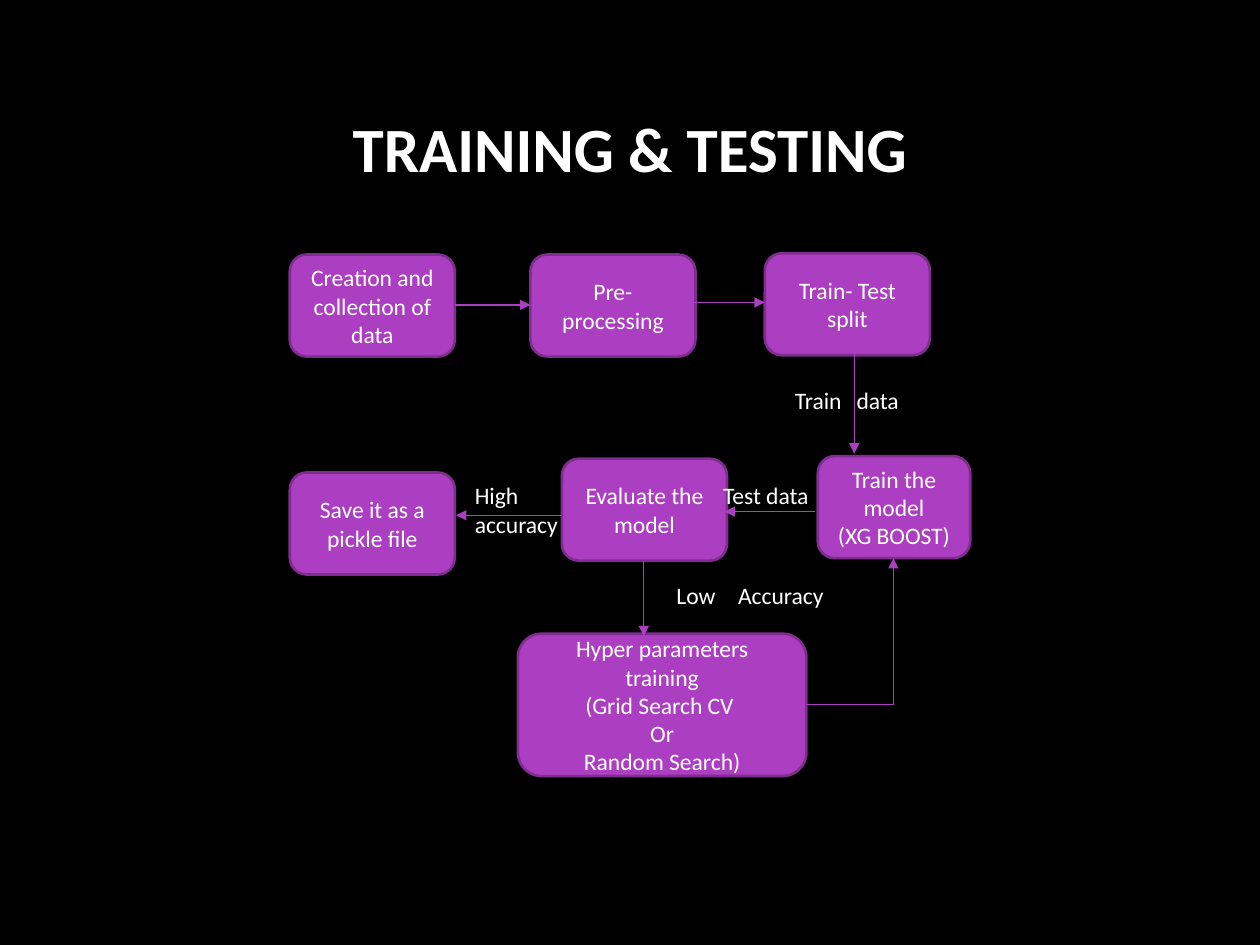
from lxml.etree import SubElement
from pptx import Presentation
from pptx.dml.color import RGBColor
from pptx.enum.shapes import MSO_CONNECTOR as CONN, MSO_SHAPE as SHAPE
from pptx.enum.text import MSO_ANCHOR as ANCHOR, PP_ALIGN as ALIGN
from pptx.oxml.ns import qn
from pptx.util import Inches, Pt

prs = Presentation()
prs.slide_width, prs.slide_height = Inches(10), Inches(7.5)
COLS, ROWS = 100, 75
COL, ROW = prs.slide_width / COLS, prs.slide_height / ROWS
TAB = 4.9
WHITE, PURPLE, EDGE = "FFFFFF", "AC3EC1", "7F2E8F"


def rgb(value):
    return RGBColor.from_string(value)


def write(sp, lines, align, anchor, **font):
    """Fill a shape with one paragraph per line; a tab jumps to a stop at TAB."""
    tf = sp.text_frame
    tf.word_wrap = True
    tf.vertical_anchor = anchor
    for i, line in enumerate(lines):
        p = tf.paragraphs[0] if i == 0 else tf.add_paragraph()
        p.alignment = align
        if "\t" in line:
            tabs = SubElement(p._p.get_or_add_pPr(), qn("a:tabLst"))
            SubElement(tabs, qn("a:tab"), pos=str(int(TAB * COL)), algn="l")
        r = p.add_run()
        r.text = line
        for name, value in {"name": "Calibri", "size": Pt(13.5), **font}.items():
            setattr(r.font, name, value)
        r.font.color.rgb = rgb(WHITE)


s = prs.slides.add_slide(prs.slide_layouts[6])
s.background.fill.solid()
s.background.fill.fore_color.rgb = rgb("000000")

# Title
sp = s.shapes.add_textbox(int(2 * COL), int(7.7 * ROW), int(96 * COL), int(8 * ROW))
write(sp, ["TRAINING & TESTING"], ALIGN.CENTER, ANCHOR.MIDDLE, size=Pt(36), bold=True)

# Steps: column, row, columns wide, rows high, lines
BOX_W, BOX_H = 13.1, 8.1
steps = [
    (23, 20.2, BOX_W, BOX_H, ["Creation and collection of data"]),
    (42.1, 20.2, BOX_W, BOX_H, ["Pre-processing"]),
    (60.7, 20.1, BOX_W, BOX_H, ["Train- Test split"]),
    (64.9, 36.2, 12.1, BOX_H, ["Train the model", "(XG BOOST)"]),
    (44.6, 36.4, BOX_W, BOX_H, ["Evaluate the model"]),
    (23, 37.5, BOX_W, BOX_H, ["Save it as a pickle file"]),
    (41.1, 50.3, 22.9, 11.3,
     ["Hyper parameters training", "(Grid Search CV ", "Or", "Random Search)"]),
]
for x, y, w, h, lines in steps:
    sp = s.shapes.add_shape(SHAPE.ROUNDED_RECTANGLE,
                            int(x * COL), int(y * ROW), int(w * COL), int(h * ROW))
    sp.shadow.inherit = False
    sp.fill.solid()
    sp.fill.fore_color.rgb = rgb(PURPLE)
    sp.line.color.rgb = rgb(EDGE)
    sp.line.width = Pt(1.5)
    write(sp, lines, ALIGN.CENTER, ANCHOR.MIDDLE)

# Flow arrows: kind, from column and row, to column and row
arrows = [
    (CONN.STRAIGHT, 36.1, 24.2, 42.1, 24.2),
    (CONN.STRAIGHT, 55.1, 24, 60.7, 24),
    (CONN.STRAIGHT, 67.8, 27.8, 67.8, 36),
    (CONN.STRAIGHT, 64.7, 40.6, 57.5, 40.6),
    (CONN.STRAIGHT, 44.5, 40.9, 36.2, 40.9),
    (CONN.STRAIGHT, 51.1, 44.5, 51.1, 50.5),
    (CONN.ELBOW, 64, 55.9, 70.9, 44.3),
]
for kind, x1, y1, x2, y2 in arrows:
    sp = s.shapes.add_connector(kind, int(x1 * COL), int(y1 * ROW),
                                int(x2 * COL), int(y2 * ROW))
    sp.line.color.rgb = rgb(PURPLE)
    sp.line.width = Pt(0.75)
    SubElement(sp.line._get_or_add_ln(), qn("a:tailEnd"), type="triangle")
    props = sp._element.spPr
    SubElement(props, qn("a:effectLst"))
    if kind == CONN.ELBOW:
        props.find(qn("a:prstGeom")).set("prst", "bentConnector2")  # a single corner

# Arrow labels: column, row, columns wide, rows high, text
labels = [
    (62.1, 30.1, 14, 3.3, "Train\tdata"),
    (56.4, 37.7, 9.9, 3.3, "Test data"),
    (36.7, 37.7, 8.7, 5.6, "High accuracy"),
    (52.7, 45.6, 14.3, 3.3, "Low\tAccuracy"),
]
for x, y, w, h, text in labels:
    sp = s.shapes.add_textbox(int(x * COL), int(y * ROW), int(w * COL), int(h * ROW))
    write(sp, [text], ALIGN.LEFT, ANCHOR.TOP)

prs.save("out.pptx")
